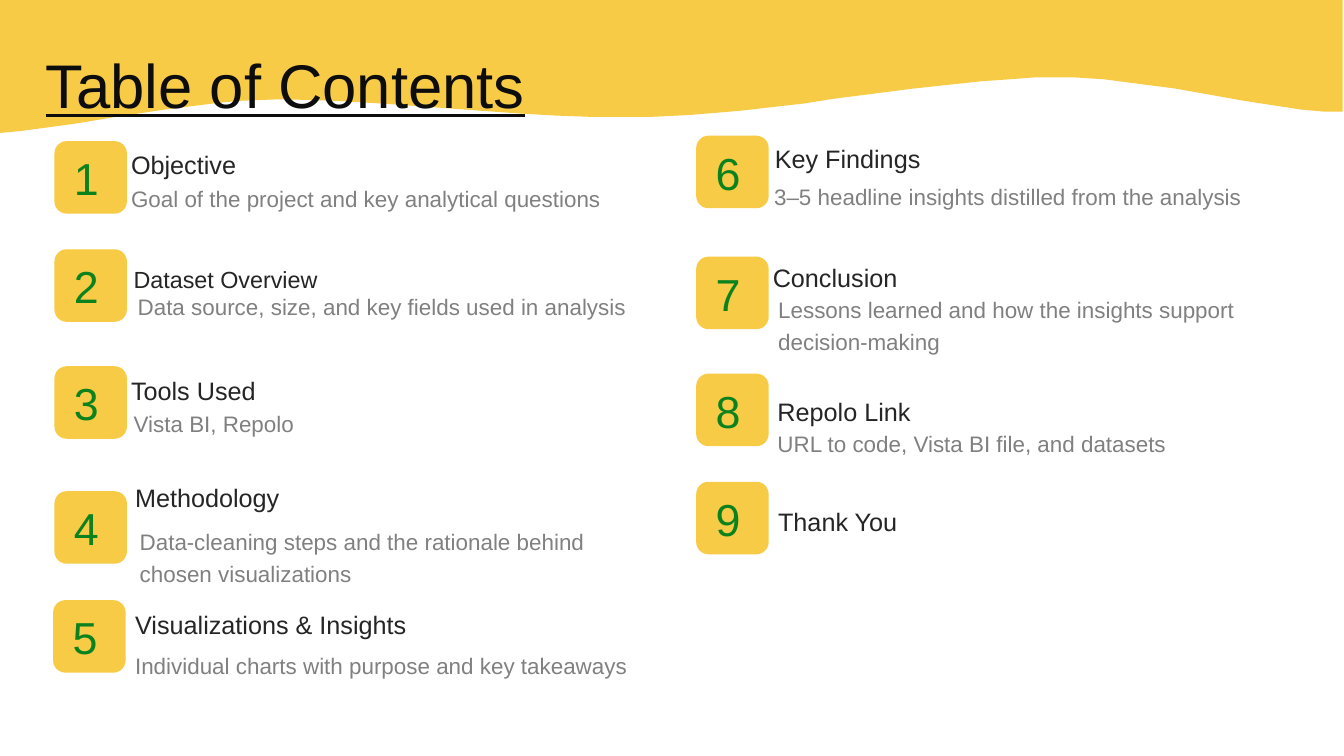
import pptx
import pptx.util
import pptx.dml.color
import pptx.enum.shapes
import pptx.enum.text

Pt = pptx.util.Pt
HUES = {"gold": "F7CB45", "green": "0C821F", "head": "252525", "note": "808080", "title": "0D0D0D"}
SIDE = 77.7
LEFT, RIGHT = 58.3, 745.9
WAVE = [
    (-0.7, 142.5), (22.3, 140.4), (80.6, 132.5), (119.5, 126), (176.4, 117.4),
    (234, 110.2), (257.8, 108), (293.8, 106.6), (311.8, 106.6), (357.8, 108),
    (408.2, 110.9), (468, 115.2), (517, 118.8), (558, 121.7), (594.7, 123.8),
    (635.8, 125.3), (697, 125.3), (740.2, 123.1), (792, 118.8), (861.1, 110.9),
    (893.5, 105.8), (977.8, 95), (1051.2, 87.1), (1081.4, 85), (1110.2, 82.8),
    (1149.1, 82.8), (1183, 85), (1260, 95), (1332.7, 108), (1393.9, 117.4),
    (1417.7, 119.5), (1438.6, 119.5),
]


def head(text, size=27, dent=0.7, line=None, gap=0):
    """Describe an entry heading."""
    return text, size, "head", dent, line, gap


def note(text, dent=0.7, line=None, gap=0):
    """Describe an entry's grey line."""
    return text, 24, "note", dent, line, gap


ITEMS = [
    (LEFT, 151.2, (81.4, 0.7, 507, 76.3),
     [head("Objective"),
      note("Goal of the project and key analytical questions", gap=6.2)]),
    (LEFT, 267.1, (84.2, 8.6, 554, 67.7),
     [head("Dataset Overview", 25),
      note("Data source, size, and key fields used in analysis", 5, gap=0.1)]),
    (LEFT, 392.4, (81.4, 1.4, 507, 75),
     [head("Tools Used"), note("Vista BI, Repolo", 3.6, gap=5.3)]),
    (LEFT, 526.3, (81.4, -17.3, 554, 115),
     [head("Methodology", dent=5),
      note("Data‑cleaning steps and the rationale behind chosen visualizations", 10, 1.19, 10.7)]),
    (56.9, 643, (87.1, 1.4, 627, 78.5),
     [head("Visualizations & Insights", gap=11.1),
      note("Individual charts with purpose and key takeaways", line=1.19, gap=8.8)]),
    (RIGHT, 145.4, (83.5, 0.7, 539, 80),
     [head("Key Findings"),
      note("3–5 headline insights distilled from the analysis", 0, gap=9.8)]),
    (RIGHT, 275, (81.4, -7.2, 595, 108),
     [head("Conclusion", line=1.15),
      note("Lessons learned and how the insights support", 6.5, 1.14),
      note("decision‑making", 6.5, 1.19)]),
    (RIGHT, 400.3, (87.1, 10.8, 507, 75),
     [head("Repolo Link", dent=0, line=1.16, gap=16.9),
      note("URL to code, Vista BI file, and datasets", 0, 1.15)]),
    (RIGHT, 516.2, (87.1, 18.7, 164, 41), [head("Thank You", gap=6.2)]),
]


def tint(color, hue):
    """Set a colour from the palette."""
    color.rgb = pptx.dml.color.RGBColor.from_string(HUES[hue])


def paint(shape):
    """Give a shape a plain gold fill."""
    shape.shadow.inherit = False
    shape.fill.solid()
    tint(shape.fill.fore_color, "gold")
    shape.line.fill.background()


def write(slide, box, paras, top=0.9, under=False):
    """Add a text box with styled paragraphs."""
    shape = slide.shapes.add_textbox(*map(Pt, box))
    frame = shape.text_frame
    frame.word_wrap = True
    frame.auto_size = pptx.enum.text.MSO_AUTO_SIZE.SHAPE_TO_FIT_TEXT
    frame.margin_left = frame.margin_right = frame.margin_bottom = 0
    frame.margin_top = Pt(top)
    for spot, (text, size, hue, dent, line, gap) in enumerate(paras):
        para = frame.paragraphs[0] if spot == 0 else frame.add_paragraph()
        props = para._p.get_or_add_pPr()
        props.set("marL", str(int(Pt(dent))))
        props.set("indent", "0")
        para.space_before = Pt(gap)
        if line:
            para.line_spacing = line
        for part in filter(None, text.partition("‑")):
            run = para.add_run()
            run.text = part
            run.font.name = "Noto Sans" if part == "‑" else "Arial"
            run.font.size = Pt(size)
            run.font.underline = under
            tint(run.font.color, hue)


def banner(slide, width):
    """Draw the wavy band and the title over it."""
    edge = [(Pt(x), Pt(y)) for x, y in WAVE]
    build = slide.shapes.build_freeform(Pt(-0.7), 0)
    build.add_line_segments(edge + [(Pt(width), 0)], close=True)
    paint(build.convert_to_shape())
    write(slide, (48.2, 49.7, 1138, 80.6),
          [("Table of Contents", 66, "title", 0.7, None, 0)], under=True)


def entry(slide, num, left, top, box, paras):
    """Place a numbered badge and its text."""
    kind = pptx.enum.shapes.MSO_SHAPE.ROUNDED_RECTANGLE
    badge = slide.shapes.add_shape(kind, Pt(left), Pt(top), Pt(SIDE), Pt(SIDE))
    badge.adjustments[0] = 0.17
    paint(badge)
    write(slide, (left + 20.2, top + 9.4, 38.2, 59),
          [(str(num), 48, "green", 0.7, None, 0)])
    dx, dy, wide, high = box
    write(slide, (left + dx, top + dy, wide, high), paras, top=7.9)


def main():
    """Build and save the contents slide."""
    deck = pptx.Presentation()
    deck.slide_width, deck.slide_height = Pt(1440), Pt(810)
    slide = deck.slides.add_slide(deck.slide_layouts[6])
    banner(slide, 1438.6)
    for num, item in enumerate(ITEMS, 1):
        entry(slide, num, *item)
    deck.save("out.pptx")


if __name__ == "__main__":
    main()
